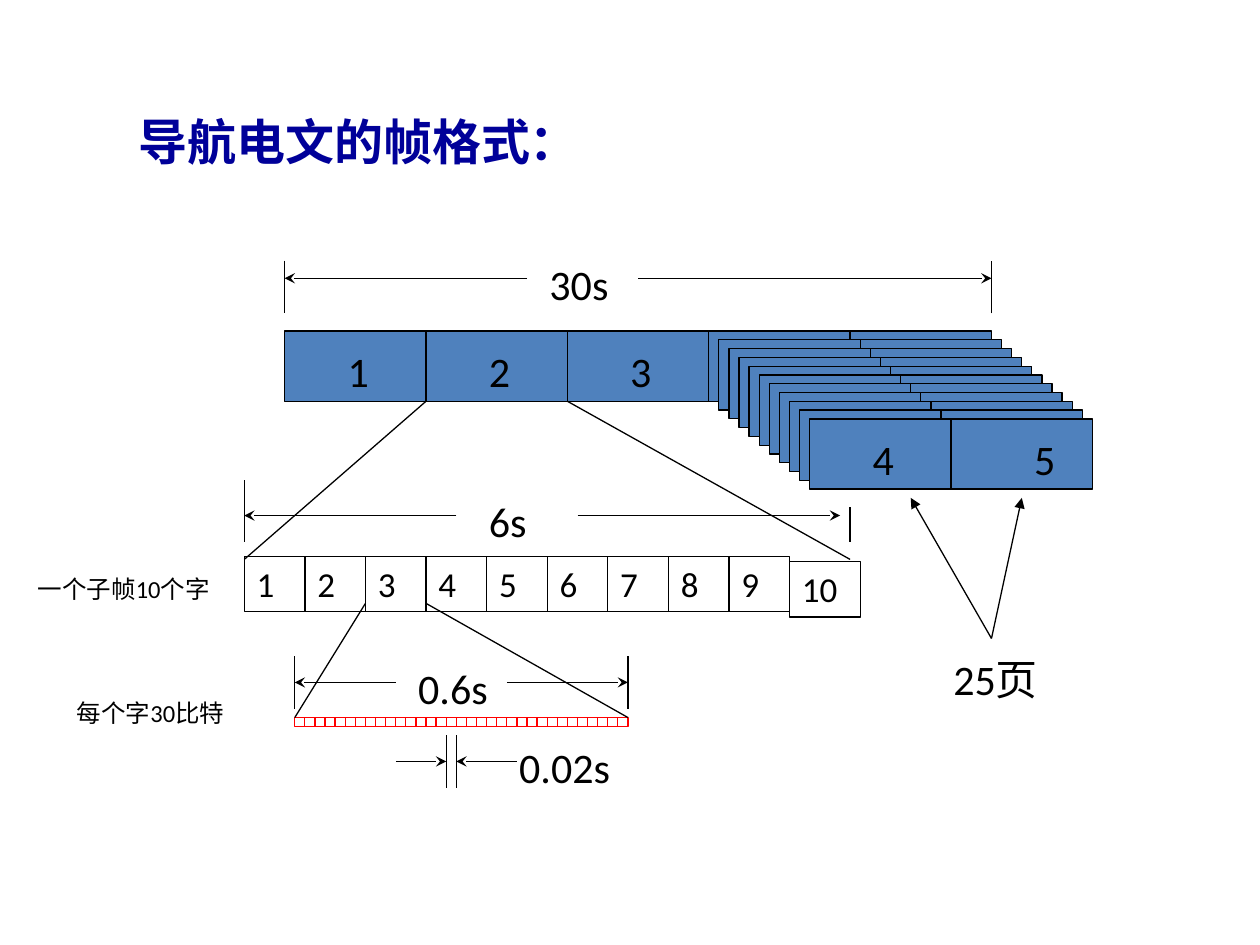
from pptx import Presentation
from pptx.dml.color import RGBColor
from pptx.enum.shapes import MSO_CONNECTOR, MSO_SHAPE
from pptx.enum.text import MSO_ANCHOR, MSO_AUTO_SIZE, PP_ALIGN
from pptx.oxml.ns import qn
from pptx.util import Pt

BLACK = RGBColor(0, 0, 0)
RED = RGBColor(255, 0, 0)
BLUE = RGBColor(0x4F, 0x81, 0xBD)
NAVY = RGBColor(0, 0, 0x99)
LATIN_FONT = "Calibri"
CHINESE_FONT = "Noto Sans CJK SC"

# The drawing sits on a grid: columns and rows below are grid steps.
LEFT, TOP = 139.6, 149
COLUMN_STEP, ROW_STEP = 5.77, 5.02

TITLE = "导航电文的帧格式："
SUBFRAME_COLUMN, SUBFRAME_ROW = 4, 8
SUBFRAME_WIDTH, SUBFRAME_HEIGHT = 14, 8
SUBFRAME_COUNT, PAGE_OFFSETS = 5, 10
WORD_COUNT, WORD_WIDTH, WORD_TOP, WORD_HEIGHT = 10, 6, 318, 31.7
LAST_WORD_WIDTH, LAST_WORD_DROP = 7, 2.9
BIT_COUNT, BIT_COLUMN, BIT_ROW = 33, 5, 52

# text, column, row, width in columns
LABELS = [
    ("1", 9, 9, 4), ("2", 23, 9, 4), ("3", 37, 9, 4),
    ("4", 61, 19, 4), ("5", 77, 19, 4),
    ("30s", 29, -1, 10), ("6s", 23, 26, 8), ("0.6s", 16, 45, 10),
    ("0.02s", 26, 54, 13), ("25页", 69, 44, 13),
]
# text, left, top, width in points
SIDE_LABELS = [("一个子帧10个字", 14.4, 324.7, 122), ("每个字30比特", 36.7, 395.3, 143)]

# start column, start row, end column, end row
PLAIN_LINES = [
    (18, 16, 0, 34), (32, 16, 60, 34),
    (12, 39, 5, 52), (18, 39, 38, 52),
    (4, 0, 4, 6), (74, 6, 74, 0),
    (0, 32, 0, 25), (60, 32, 60, 28),
    (5, 51, 5, 45), (38, 51, 38, 45),
    (20, 54, 20, 60), (21, 54, 21, 60),
]
DIMENSION_ARROWS = [
    (28, 2, 4, 2), (39, 2, 74, 2),
    (21, 29, 0, 29), (33, 29, 59, 29),
    (15, 48, 5, 48), (26, 48, 38, 48),
    (15, 57, 20, 57), (27, 57, 21, 57),
]
PAGE_ARROWS = [(74, 43, 66, 27), (74, 43, 77, 27)]


def x_of(column):
    return LEFT + column * COLUMN_STEP


def y_of(row):
    return TOP + row * ROW_STEP


def add_run(paragraph, text, size, color, font):
    run = paragraph.add_run()
    run.text = text
    run.font.size = Pt(size)
    run.font.color.rgb = color
    run.font.name = font
    properties = run.font._element
    east_asian = properties.makeelement(qn("a:ea"), {"typeface": CHINESE_FONT})
    properties.find(qn("a:latin")).addnext(east_asian)
    return run


def write(shape, text, size):
    frame = shape.text_frame
    frame.word_wrap = True
    frame.auto_size = MSO_AUTO_SIZE.NONE
    frame.vertical_anchor = MSO_ANCHOR.TOP
    paragraph = frame.paragraphs[0]
    paragraph.alignment = PP_ALIGN.LEFT
    add_run(paragraph, text, size, BLACK, LATIN_FONT)


def add_box(slide, left, top, width, height, line_color=BLACK, fill=None):
    box = slide.shapes.add_shape(
        MSO_SHAPE.RECTANGLE, Pt(left), Pt(top), Pt(width), Pt(height))
    box.shadow.inherit = False
    box.line.color.rgb = line_color
    box.line.width = Pt(0.75)
    if fill is None:
        box.fill.background()
    else:
        box.fill.solid()
        box.fill.fore_color.rgb = fill
    return box


def add_subframe(slide, index, offset=0):
    add_box(slide,
            x_of(SUBFRAME_COLUMN + index * SUBFRAME_WIDTH + offset),
            y_of(SUBFRAME_ROW + offset),
            SUBFRAME_WIDTH * COLUMN_STEP, SUBFRAME_HEIGHT * ROW_STEP, fill=BLUE)


def add_label(slide, text, left, top, width, height, size):
    box = slide.shapes.add_textbox(Pt(left), Pt(top), Pt(width), Pt(height))
    write(box, text, size)


def add_line(slide, ends, head=None):
    start_column, start_row, end_column, end_row = ends
    line = slide.shapes.add_connector(
        MSO_CONNECTOR.STRAIGHT,
        Pt(x_of(start_column)), Pt(y_of(start_row)),
        Pt(x_of(end_column)), Pt(y_of(end_row)))
    line.line.color.rgb = BLACK
    line.line.width = Pt(0.75)
    if head:
        outline = line.line._get_or_add_ln()
        outline.append(outline.makeelement(qn("a:tailEnd"), {"type": head}))
    properties = line._element.spPr
    properties.append(properties.makeelement(qn("a:effectLst"), {}))


def add_title(slide):
    title = slide.shapes.title
    title.left, title.top, title.width, title.height = Pt(72), Pt(43.2), Pt(390), Pt(36)
    frame = title.text_frame
    frame.word_wrap = True
    frame.auto_size = MSO_AUTO_SIZE.NONE
    frame.vertical_anchor = MSO_ANCHOR.TOP
    paragraph = frame.paragraphs[0]
    paragraph.alignment = PP_ALIGN.LEFT
    paragraph.line_spacing = 1.5
    run = add_run(paragraph, TITLE, 28, NAVY, CHINESE_FONT)
    run.font.bold = True


def main():
    presentation = Presentation()
    presentation.slide_width, presentation.slide_height = Pt(720), Pt(540)
    slide = presentation.slides.add_slide(presentation.slide_layouts[5])
    add_title(slide)

    for index in range(SUBFRAME_COUNT):
        add_subframe(slide, index)
    for offset in range(1, PAGE_OFFSETS + 1):
        for index in (4, 3):
            add_subframe(slide, index, offset)

    for index in range(WORD_COUNT):
        last = index == WORD_COUNT - 1
        word = add_box(slide, x_of(index * WORD_WIDTH),
                       WORD_TOP + (LAST_WORD_DROP if last else 0),
                       (LAST_WORD_WIDTH if last else WORD_WIDTH) * COLUMN_STEP,
                       WORD_HEIGHT)
        write(word, str(index + 1), 20)

    for index in range(BIT_COUNT):
        add_box(slide, x_of(BIT_COLUMN + index), y_of(BIT_ROW),
                COLUMN_STEP, ROW_STEP, line_color=RED)

    for lines, head in ((PLAIN_LINES, None), (DIMENSION_ARROWS, "stealth"),
                        (PAGE_ARROWS, "triangle")):
        for ends in lines:
            add_line(slide, ends, head)

    for text, column, row, columns in LABELS:
        add_label(slide, text, x_of(column), y_of(row), columns * COLUMN_STEP, 36, 24)
    for text, left, top, width in SIDE_LABELS:
        add_label(slide, text, left, top, width, 24.5, 14)

    presentation.save("out.pptx")


if __name__ == "__main__":
    main()
